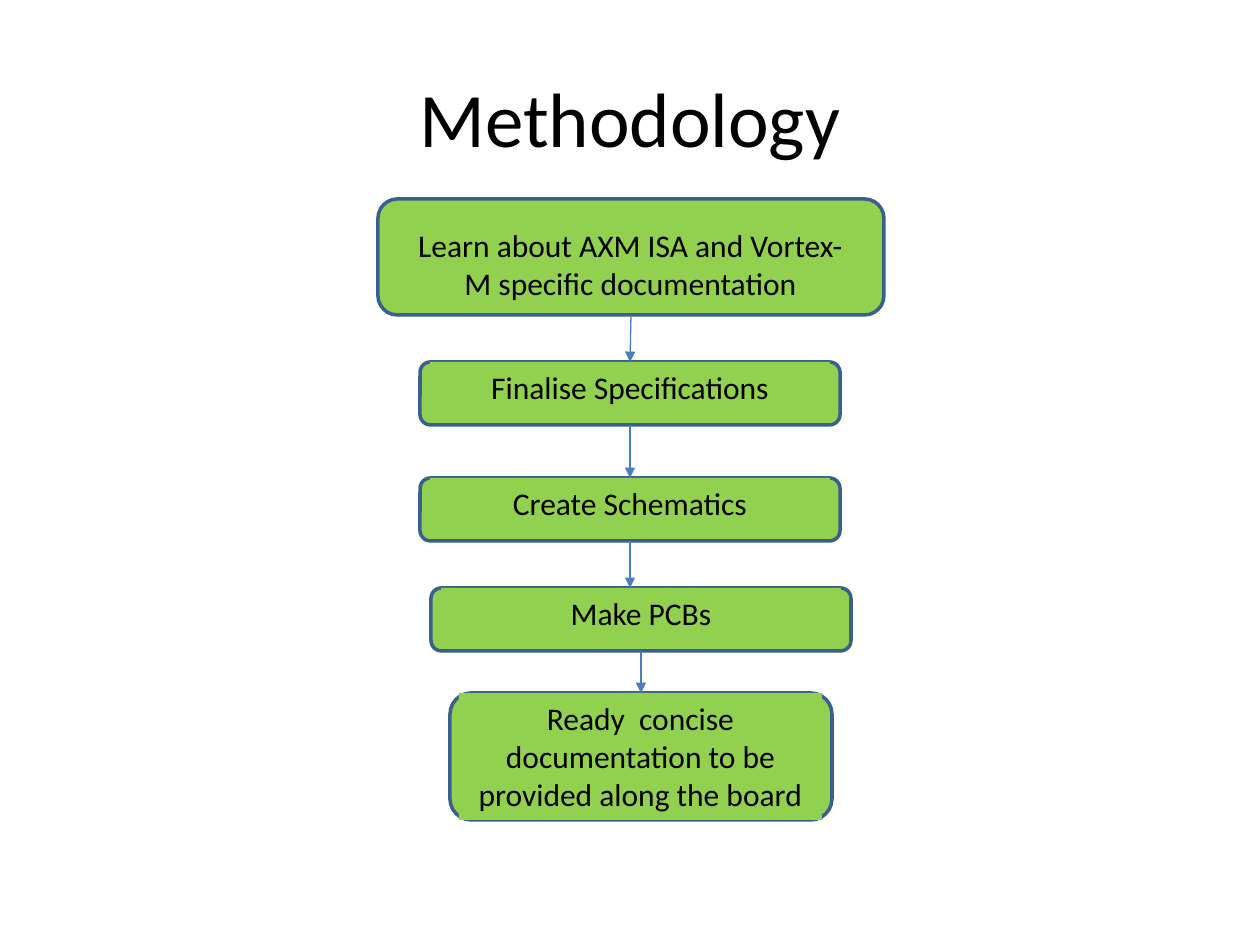
from dataclasses import dataclass

from lxml import etree
from pptx import Presentation
from pptx.dml.color import RGBColor
from pptx.enum.shapes import MSO_CONNECTOR, MSO_SHAPE
from pptx.enum.text import MSO_ANCHOR, PP_ALIGN
from pptx.oxml.ns import qn
from pptx.util import Emu, Pt

PX = 914400 / 126
FONT = "Calibri"
COLORS = {"text": "000000", "step": "92D050", "outline": "3A5F8C", "arrow": "4B7EBC"}
ROUNDED, RECTANGLE = MSO_SHAPE.ROUNDED_RECTANGLE, MSO_SHAPE.RECTANGLE
STRAIGHT = MSO_CONNECTOR.STRAIGHT
TOP_ANCHOR, MIDDLE_ANCHOR = MSO_ANCHOR.TOP, MSO_ANCHOR.MIDDLE
CENTER = PP_ALIGN.CENTER
TOP_SITE, BOTTOM_SITE = 0, 2


@dataclass(frozen=True)
class Box:
    left: int
    top: int
    width: int
    height: int

    def emu(self) -> tuple[Emu, ...]:
        return tuple(px(v) for v in (self.left, self.top, self.width, self.height))


@dataclass(frozen=True)
class Step:
    text: str
    frame: Box
    label: Box


def px(value: int) -> Emu:
    return Emu(round(value * PX))


def color(name: str) -> RGBColor:
    return RGBColor.from_string(COLORS[name])


def short_step(text: str, left: int, top: int) -> Step:
    """A one-line step, its label inset from the sides of the frame."""
    return Step(text, Box(left, top, 420, 63), Box(left + 10, top, 400, 50))


def write_text(shape, text: str, size: int, anchor) -> None:
    frame = shape.text_frame
    frame.word_wrap = True
    frame.vertical_anchor = anchor
    paragraph = frame.paragraphs[0]
    paragraph.alignment = CENTER
    run = paragraph.add_run()
    run.text = text
    run.font.name = FONT
    run.font.size = Pt(size)
    run.font.color.rgb = color("text")


def add_filled(shapes, kind, box: Box):
    shape = shapes.add_shape(kind, *box.emu())
    shape.shadow.inherit = False
    shape.fill.solid()
    shape.fill.fore_color.rgb = color("step")
    return shape


def add_step(slide, step: Step):
    """Draw a step as a group and return its outlined frame."""
    group = slide.shapes.add_group_shape()
    frame = add_filled(group.shapes, ROUNDED, step.frame)
    frame.line.color.rgb = color("outline")
    frame.line.width = Pt(2)
    label = add_filled(group.shapes, RECTANGLE, step.label)
    label.line.fill.background()
    write_text(label, step.text, 18, TOP_ANCHOR)
    return frame


def add_arrow(slide, upper, lower) -> None:
    """Run from the upper step's bottom to the lower step's top."""
    start_x = upper.left + upper.width // 2
    end_x = lower.left + lower.width // 2
    aligned = abs(end_x - start_x) < px(5)
    arrow = slide.shapes.add_connector(
        STRAIGHT, start_x, upper.top + upper.height,
        end_x if aligned else start_x, lower.top)
    arrow.begin_connect(upper, BOTTOM_SITE)
    # A step shifted sideways is met by a vertical arrow, off its middle
    if aligned:
        arrow.end_connect(lower, TOP_SITE)
    arrow.line.color.rgb = color("arrow")
    arrow.line.width = Pt(0.75)
    etree.SubElement(arrow.line._get_or_add_ln(), qn("a:tailEnd"), type="triangle")
    etree.SubElement(arrow._element.spPr, qn("a:effectLst"))


STEPS = [
    Step("Learn about AXM ISA and Vortex-M specific documentation",
         Box(378, 199, 506, 116), Box(397, 220, 467, 90)),
    short_step("Finalise Specifications", 420, 362),
    short_step("Create Schematics", 420, 478),
    short_step("Make PCBs", 431, 588),
    Step("Ready  concise documentation to be provided along the board",
         Box(450, 693, 382, 127), Box(459, 693, 363, 127)),
]


def main() -> None:
    prs = Presentation()
    prs.slide_width, prs.slide_height = px(1260), px(945)
    slide = prs.slides.add_slide(prs.slide_layouts[6])

    # Title
    title = slide.shapes.add_textbox(*Box(63, 38, 1134, 157).emu())
    write_text(title, "Methodology", 44, MIDDLE_ANCHOR)

    # Steps from top to bottom, then the arrows between them
    frames = [add_step(slide, step) for step in STEPS]
    for upper, lower in zip(frames, frames[1:]):
        add_arrow(slide, upper, lower)

    prs.save("out.pptx")


if __name__ == "__main__":
    main()
